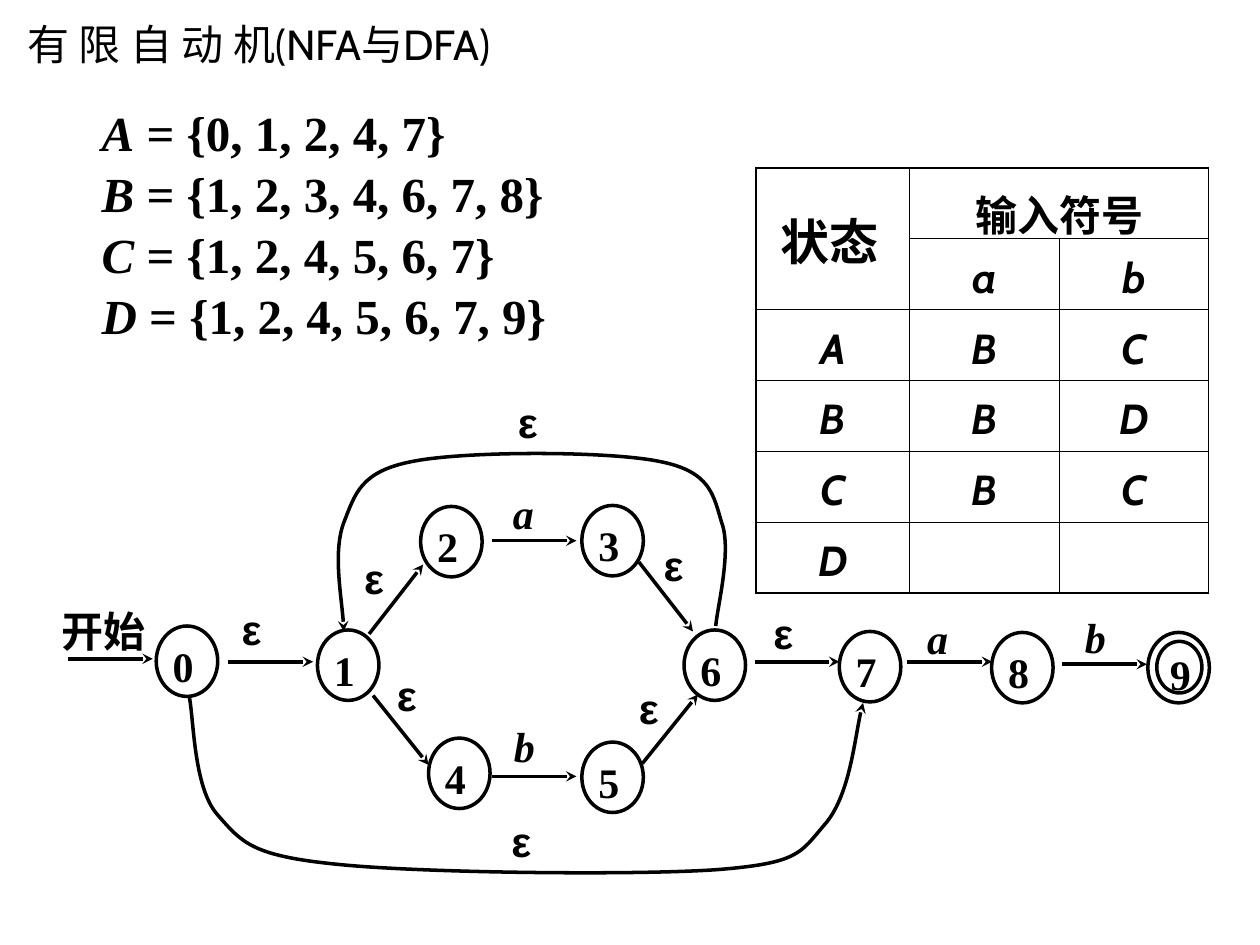
from lxml.etree import SubElement
from pptx import Presentation
from pptx.dml.color import RGBColor
from pptx.enum.shapes import MSO_CONNECTOR, MSO_SHAPE
from pptx.enum.text import MSO_ANCHOR, MSO_AUTO_SIZE, PP_ALIGN
from pptx.oxml import parse_xml
from pptx.oxml.ns import nsdecls, qn
from pptx.util import Cm, Pt

# Content (lengths in cm)
BLACK, WHITE = "000000", "FFFFFF"
TITLE = "有 限 自 动 机(NFA与DFA)"
SETS = [
    ("A", "0, 1, 2, 4, 7"),
    ("B", "1, 2, 3, 4, 6, 7, 8"),
    ("C", "1, 2, 4, 5, 6, 7"),
    ("D", "1, 2, 4, 5, 6, 7, 9"),
]
HEAD = "状态 "
ROWS = [
    ["", "输入符号", ""],
    ["", "a", "b"],
    ["A", "B", "C"],
    ["B", "B", "D"],
    ["C", "B", "C"],
    ["D", "", ""],
]
WIDE = [3.1, 3.02, 3]
HIGH = [1.35] * 2 + [1.4] * 4
NODES = [
    ("0", 3.15, 12.62), ("1", 6.4, 12.7), ("2", 8.48, 10.21),
    ("3", 11.73, 10.19), ("4", 8.64, 14.88), ("5", 11.73, 14.96),
    ("6", 13.79, 12.7), ("7", 16.92, 12.73), ("8", 19.99, 12.75),
    ("", 23.14, 12.75),
]
NODE = (1.24, 1.42)
FINAL = ("9", 23.32, 12.93, 0.91, 1.04)
START = ("开始", 1.09, 12.12, 2.01, 1.35)
MARKS = {
    "ε": [(4.72, 12.09), (7.19, 11.05), (7.85, 13.41), (13.23, 10.8),
          (12.73, 13.67), (10.16, 16.36), (10.29, 7.92), (15.44, 12.17)],
    "a": [(10.19, 9.75), (18.54, 12.27)],
    "b": [(10.21, 14.45), (21.72, 12.24)],
}
FLAT, RUN = [(1.37, 13.28), (4.6, 13.34), (15.21, 13.34), (18.29, 13.34),
             (21.41, 13.39), (9.91, 10.9), (9.91, 15.65)], 1.71
SLOPES = [
    (7.44, 12.78, 8.53, 11.38), (12.88, 11.33, 13.97, 12.73),
    (12.95, 15.39, 14.07, 14), (7.52, 14.02, 8.64, 15.42),
]
# Each loop is a start point, then two handles and an end per curve
LOOPS = [
    [(3.81, 14.02), (3.91, 14.43), (3.89, 15.88), (4.39, 16.43),
     (4.88, 16.99), (5.08, 17.25), (6.76, 17.42),
     (8.43, 17.6), (12.83, 17.65), (14.48, 17.53),
     (16.1, 17.4), (16.13, 17.2), (16.61, 16.64),
     (17.12, 16.08), (17.25, 14.68), (17.4, 14.17)],
    [(14.43, 12.62), (14.45, 12.29), (14.76, 11.1), (14.55, 10.54),
     (14.38, 9.98), (14.33, 9.5), (13.28, 9.3),
     (12.24, 9.09), (9.4, 9.09), (8.33, 9.3),
     (7.26, 9.5), (7.16, 9.96), (6.93, 10.54),
     (6.71, 11.13), (6.93, 12.27), (6.93, 12.73)],
]
# Format values
SERIF = dict(name="Times New Roman", size=Pt(24), bold=True, italic=False)
SLANT = dict(SERIF, italic=True)
EPS = dict(SERIF, name="Arial")
CELL = dict(SERIF, name="Cabin")
PLAIN = dict(CELL, bold=False)
BIG = dict(SERIF, size=Pt(28))


# Helpers
def put(obj, vals):
    for key, val in vals.items():
        setattr(obj, key, val)


def tint(form, code):
    form.rgb = RGBColor.from_string(code)


def paint(fill, code):
    fill.solid()
    tint(fill.fore_color, code)


def place(shape, *box):
    put(shape, dict(zip(("left", "top", "width", "height"), map(Cm, box))))


def inset(frame, *sides):
    names = ("margin_left", "margin_top", "margin_right", "margin_bottom")
    put(frame, dict(zip(names, map(Cm, sides))))


def write(para, text, look, align=PP_ALIGN.LEFT):
    para.alignment = align
    run = para.add_run()
    run.text = text
    put(run.font, look)
    tint(run.font.color, BLACK)


def stroke(line):
    line.width = Pt(2)
    paint(line.fill, BLACK)


def tip(shape):
    line = shape.line._get_or_add_ln()
    SubElement(line, qn("a:tailEnd"), type="stealth")


def ring(text, *box):
    shape = slide.shapes.add_shape(MSO_SHAPE.OVAL, *map(Cm, box))
    shape.shadow.inherit = False
    shape.fill.background()
    stroke(shape.line)
    frame = shape.text_frame
    frame.vertical_anchor = MSO_ANCHOR.TOP
    inset(frame, 0.15, 0.08, 0.05, 0.13)
    if text:
        write(frame.paragraphs[0], text, SERIF)
    return frame


def label(text, look, *box):
    frame = slide.shapes.add_textbox(*map(Cm, box)).text_frame
    frame.word_wrap = True
    inset(frame, 0.15, 0.08, 0.15, 0.08)
    write(frame.paragraphs[0], text, look, PP_ALIGN.JUSTIFY)


def arrow(*ends):
    link = slide.shapes.add_connector(MSO_CONNECTOR.STRAIGHT, *map(Cm, ends))
    stroke(link.line)
    tip(link)
    SubElement(link._element.spPr, qn("a:effectLst"))


def curve(points):
    spots = [(Cm(x), Cm(y)) for x, y in points]
    pen = slide.shapes.build_freeform(*spots[0])
    pen.add_line_segments(spots[1:], close=False)
    shape = pen.convert_to_shape()
    steps = list(shape._element.iter(qn("a:lnTo")))
    for i in range(0, len(steps), 3):
        bend = SubElement(steps[i].getparent(), qn("a:cubicBezTo"))
        for step in steps[i:i + 3]:
            bend.append(step[0])
            step.getparent().remove(step)
    shape.shadow.inherit = False
    shape.fill.background()
    stroke(shape.line)
    tip(shape)


def edge(cell, sides):
    props = cell._tc.get_or_add_tcPr()
    for i, (side, outer) in enumerate(sides):
        width = Pt(1.08 if outer else 0.45)
        props.insert(i, parse_xml(
            f'<a:ln{side} {nsdecls("a")} w="{width}"><a:solidFill>'
            f'<a:srgbClr val="{BLACK}"/></a:solidFill></a:ln{side}>'))


# Slide, title and state sets
deck = Presentation()
deck.slide_width, deck.slide_height = Cm(25.4), Cm(19.05)
slide = deck.slides.add_slide(deck.slide_layouts[1])
title, body = slide.placeholders
place(title, 0.3, 0.13, 11.61, 1.52)
place(body, 1.9, 1.93, 10.16, 5.51)
for shape in (title, body):
    paint(shape.fill, WHITE)
    put(shape.text_frame, dict(word_wrap=True, auto_size=MSO_AUTO_SIZE.NONE))
write(title.text_frame.paragraphs[0], TITLE, PLAIN)
inset(body.text_frame, 0.15, 0.08, 0.15, 0.08)
for i, (name, items) in enumerate(SETS):
    para = body.text_frame.add_paragraph() if i else body.text_frame.paragraphs[0]
    props = para._p.get_or_add_pPr()
    props.set("marL", "0")
    props.set("indent", "0")
    SubElement(props, qn("a:buNone"))
    put(para, dict(line_spacing=1.04, space_before=Pt(0)))
    write(para, name, dict(BIG, italic=True))
    write(para, f" = {{{items}}}", BIG)

# Automaton
for text, x, y in NODES:
    ring(text, x, y, *NODE)
inset(ring(*FINAL), 0.13, 0, 0.03, 0)
label(START[0], SERIF, *START[1:])
for text, spots in MARKS.items():
    for x, y in spots:
        label(text, EPS if text == "ε" else SLANT, x, y, 1.08, 1.14)
for x, y in FLAT:
    arrow(x, y, x + RUN, y)
for ends in SLOPES:
    arrow(*ends)
for points in LOOPS:
    curve(points)

# Transition table
box = map(Cm, (15.24, 3.38, sum(WIDE), sum(HIGH)))
table = slide.shapes.add_table(len(ROWS), len(WIDE), *box).table
put(table, dict(first_row=False, horz_banding=False))
for col, size in zip(table.columns, WIDE):
    col.width = Cm(size)
for row, size in zip(table.rows, HIGH):
    row.height = Cm(size)
table.cell(0, 0).merge(table.cell(1, 0))
table.cell(0, 1).merge(table.cell(0, 2))
for r, texts in enumerate(ROWS):
    for c, text in enumerate(texts):
        cell = table.cell(r, c)
        cell.fill.background()
        if cell.is_spanned:
            continue
        inset(cell, 0.15, 0.13, 0.15, 0.13)
        if text:
            para = cell.text_frame.paragraphs[0]
            para.line_spacing = 1.15
            write(para, text, dict(CELL, italic=r > 0), PP_ALIGN.CENTER)
        edge(cell, [("L", c == 0), ("R", c + cell.span_width == len(WIDE)),
                    ("T", r == 0), ("B", r + cell.span_height == len(ROWS))])

# Heading of the state column
head = slide.shapes.add_shape(MSO_SHAPE.RECTANGLE, *map(Cm, (15.67, 3.81, 2.34, 2.11)))
head.shadow.inherit = False
paint(head.fill, WHITE)
head.line.fill.background()
put(head.text_frame, dict(word_wrap=False, vertical_anchor=MSO_ANCHOR.MIDDLE))
inset(head.text_frame, 0.15, 0.08, 0.15, 0.08)
write(head.text_frame.paragraphs[0], HEAD, BIG, PP_ALIGN.CENTER)

deck.save("out.pptx")
